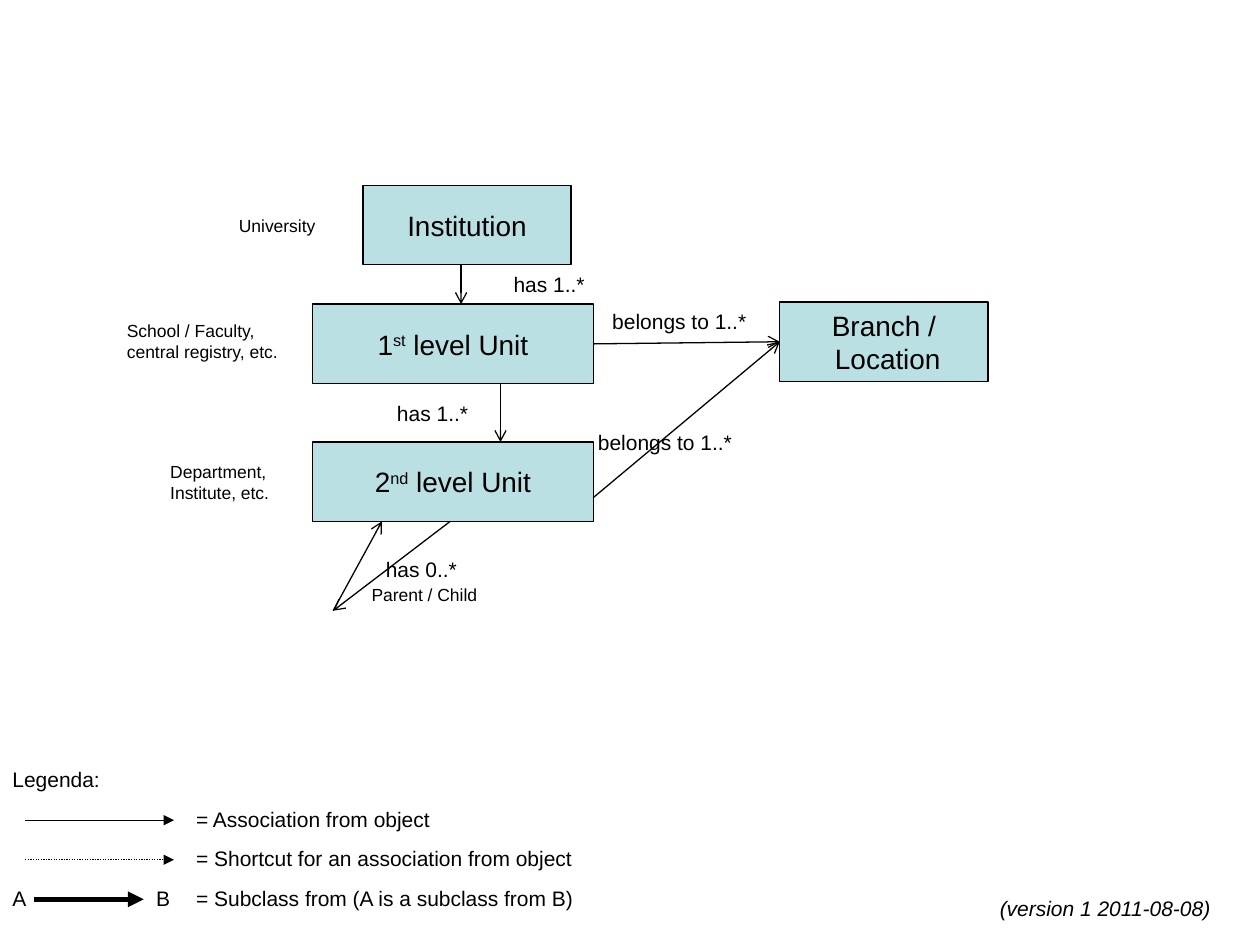
from lxml import etree
from pptx import Presentation
from pptx import util as u
from pptx.dml import color
from pptx.enum import dml, shapes, text
from pptx.oxml import ns

Pt = u.Pt
HUES = {"fill": "BBE0E3", "ink": "000000"}
INK = color.RGBColor.from_string(HUES["ink"])

deck = Presentation()
deck.slide_width, deck.slide_height = Pt(720), Pt(540)
page = deck.slides.add_slide(deck.slide_layouts[6])


def write(shape, words, size=12, italic=False, wrap=True, align=text.PP_ALIGN.LEFT):
    """Fill a shape with text; the part between two ^ marks is superscript."""
    frame = shape.text_frame
    frame.word_wrap = wrap
    for i, row in enumerate(words.split("\n")):
        para = frame.paragraphs[0] if i == 0 else frame.add_paragraph()
        para.alignment = align
        for j, part in enumerate(row.split("^")):
            run = para.add_run()
            run.text = part
            run.font.name, run.font.size = "Arial", Pt(size)
            run.font.italic = italic
            run.font.color.rgb = INK
            if j % 2:
                run.font._element.set("baseline", "30000")


def arrow(x1, y1, x2, y2, head="arrow", width=0.75, dash=None):
    """Draw a straight line with an arrowhead at its end."""
    link = page.shapes.add_connector(
        shapes.MSO_CONNECTOR.STRAIGHT, Pt(x1), Pt(y1), Pt(x2), Pt(y2))
    link.line.color.rgb = INK
    link.line.width = Pt(width)
    if dash:
        link.line.dash_style = dash
    etree.SubElement(link.line._get_or_add_ln(), ns.qn("a:tailEnd"), type=head)
    etree.SubElement(link._element.spPr, ns.qn("a:effectLst"))
    return link


# Entity boxes
boxes = {}
for name, words, x, y, w in [
    ("top", "Institution", 207.4, 106, 119),
    ("first", "1^st^ level Unit", 178.6, 173.8, 160.4),
    ("second", "2^nd^ level Unit", 178.6, 252.6, 160.4),
    ("branch", "Branch /\n Location", 445.6, 172.6, 119),
]:
    box = page.shapes.add_shape(
        shapes.MSO_SHAPE.RECTANGLE, Pt(x), Pt(y), Pt(w), Pt(45.4))
    box.shadow.inherit = False
    box.fill.solid()
    box.fill.fore_color.rgb = color.RGBColor.from_string(HUES["fill"])
    box.line.color.rgb = INK
    box.line.width = Pt(0.75)
    box.text_frame.vertical_anchor = text.MSO_ANCHOR.MIDDLE
    write(box, words, size=16, wrap=False, align=text.PP_ALIGN.CENTER)
    boxes[name] = box

# Associations between boxes
arrow(263.5, 151.4, 263.5, 173.8)
arrow(286, 219.2, 286, 252.6)
arrow(257.2, 298, 190.4, 349)
arrow(190.4, 349, 218.2, 298)
side = arrow(339, 196.5, 445.6, 195.3)
side.begin_connect(boxes["first"], 3)
side.end_connect(boxes["branch"], 1)
slant = arrow(339, 284.4, 445.6, 195.3)
slant.end_connect(boxes["branch"], 1)

# Labels: words, left, top, width, size, wrap, italic
labels = [
    ("has 1..*", 286.4, 151.4, 55, 12, False, False),
    ("has 1..*", 219.8, 225.3, 55, 12, False, False),
    ("has 0..*", 213.4, 314.6, 55, 12, False, False),
    ("belongs to 1..*", 342.8, 173, 91, 12, False, False),
    ("belongs to 1..*", 334.6, 242, 91, 12, False, False),
    ("Parent / Child", 205.2, 330, 106.6, 10, True, False),
    ("University", 129.4, 119.2, 72.7, 10, True, False),
    ("School / Faculty, central registry, etc.", 65.4, 179.2, 106.6, 10, True, False),
    ("Department, Institute, etc.", 90.2, 260, 77.8, 10, True, False),
    ("Legenda:", 0, 434.2, 118.8, 12, True, False),
    ("A", 0, 502.4, 22.3, 12, False, False),
    ("B", 82.1, 502.4, 22.3, 12, False, False),
    ("(version 1 2011-08-08)", 564.2, 508.2, 142, 12, True, True),
]

# Legend rows
for i, (words, x1, x2, width, dash) in enumerate([
    ("= Association from object", 14.4, 99.4, 0.75, None),
    ("= Shortcut for an association from object", 14.4, 99.4, 0.75,
     dml.MSO_LINE.ROUND_DOT),
    ("= Subclass from (A is a subclass from B)", 19.4, 82.1, 3, None),
]):
    y = 457.2 + 22.6 * i
    arrow(x1, y + 11.5, x2, y + 11.5, "triangle", width, dash)
    labels.append((words, 105, y, 244, 12, True, False))

# Text boxes that grow with their words
for words, x, y, w, size, wrap, italic in labels:
    note = page.shapes.add_textbox(Pt(x), Pt(y), Pt(w), Pt(size * 1.8))
    note.text_frame.auto_size = text.MSO_AUTO_SIZE.SHAPE_TO_FIT_TEXT
    write(note, words, size=size, wrap=wrap, italic=italic)

deck.save("out.pptx")
